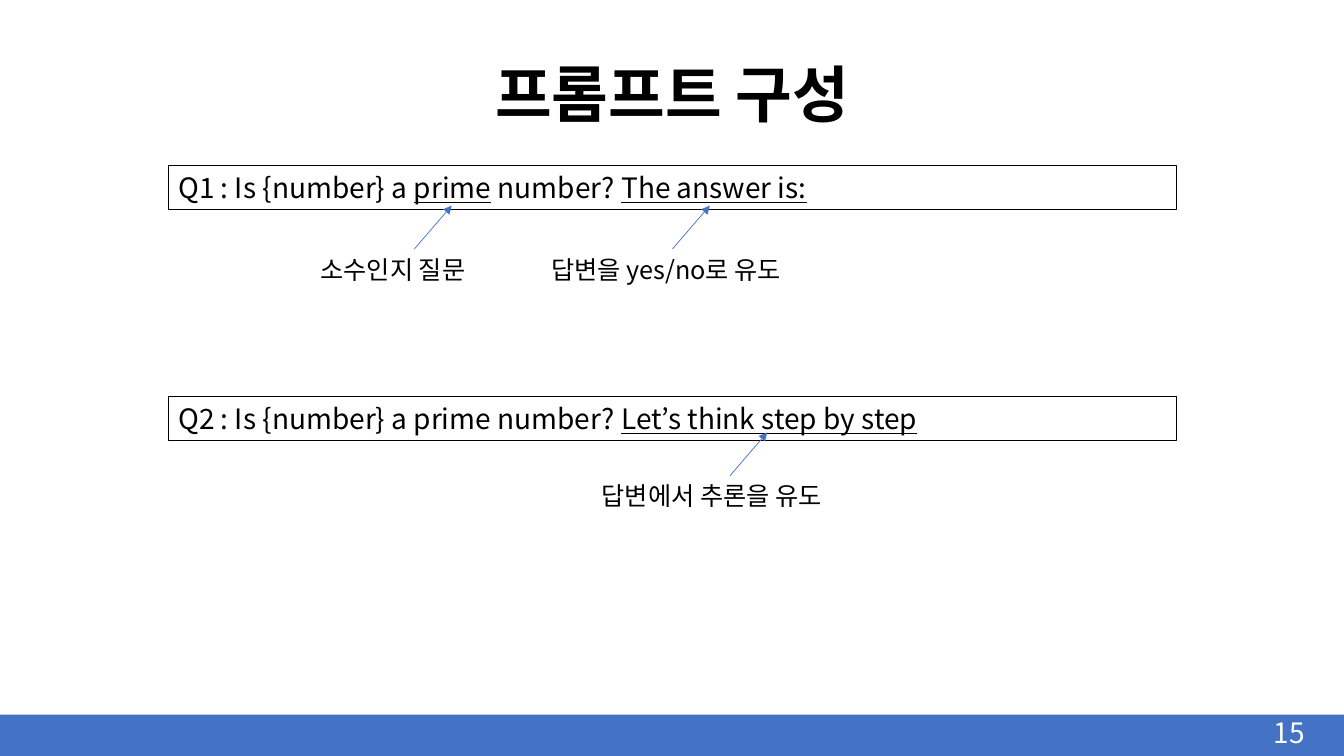
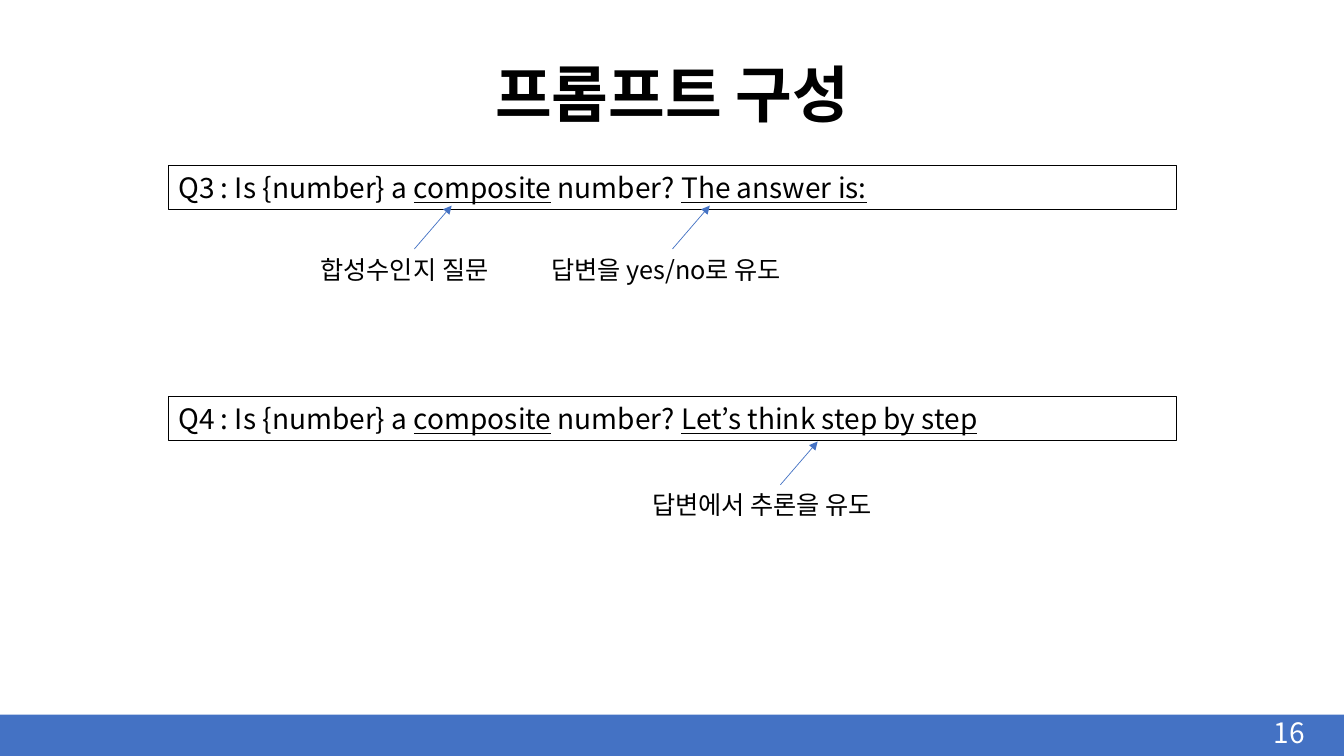
from dataclasses import dataclass
from typing import Optional

import lxml.etree
import pptx
import pptx.dml.color
import pptx.enum.shapes
import pptx.enum.text
import pptx.oxml.ns
import pptx.presentation
import pptx.shapes.base
import pptx.slide
import pptx.text.text
import pptx.util

Inches = pptx.util.Inches
Pt = pptx.util.Pt
RGBColor = pptx.dml.color.RGBColor
Align = pptx.enum.text.PP_ALIGN
Anchor = pptx.enum.text.MSO_ANCHOR
AutoSize = pptx.enum.text.MSO_AUTO_SIZE
ShapeKind = pptx.enum.shapes.MSO_SHAPE
qn = pptx.oxml.ns.qn


# Theme
@dataclass(frozen=True)
class Theme:
    font: str = "Noto Sans CJK KR"
    ink: RGBColor = RGBColor(0x00, 0x00, 0x00)
    accent: RGBColor = RGBColor(0x44, 0x72, 0xC4)
    paper: RGBColor = RGBColor(0xFF, 0xFF, 0xFF)
    title_size: int = 44
    prompt_size: int = 20
    note_size: int = 18
    number_size: int = 20
    box_line: float = 0.75
    arrow_line: float = 0.5


THEME = Theme()
PAGE_WIDTH, PAGE_HEIGHT = 13.33, 7.5
CONTENT_LEFT, CONTENT_WIDTH = 1.67, 10
PROMPT_HEIGHT, NOTE_HEIGHT = 0.44, 0.4
ARROW_RUN, ARROW_RISE = 0.37, 0.43
BAND_TOP = 7.09


# Content
@dataclass(frozen=True)
class Span:
    text: str
    underline: bool = False


@dataclass(frozen=True)
class Note:
    text: str
    left: float
    top: float
    width: float
    arrow_left: Optional[float] = None  # None: arrow leaves the top centre


@dataclass(frozen=True)
class Prompt:
    top: float
    spans: tuple[Span, ...]
    notes: tuple[Note, ...]


@dataclass(frozen=True)
class Page:
    number: int
    title: str
    prompts: tuple[Prompt, ...]


ANSWER = Span("The answer is:", True)
STEPS = Span("Let’s think step by step", True)
COMPOSITE = Span("composite", True)
NUMBER = Span(" number? ")
FIRST_TOP, SECOND_TOP, NOTE_TOP = 1.64, 3.93, 2.47
YES_NO_NOTE = Note("답변을 yes/no로 유도", 5.37, NOTE_TOP, 2.74, 6.67)


def reasoning_note(left: float, top: float) -> Note:
    return Note("답변에서 추론을 유도", left, top, 2.74)


PAGES = (
    Page(15, "프롬프트 구성", (
        Prompt(
            FIRST_TOP,
            (Span("Q1 : Is {number} a "), Span("prime", True), NUMBER, ANSWER),
            (Note("소수인지 질문", 3.08, NOTE_TOP, 1.91, 4.11), YES_NO_NOTE),
        ),
        Prompt(
            SECOND_TOP,
            (Span("Q2 : Is {number} a prime number? "), STEPS),
            (reasoning_note(5.87, 4.72),),
        ),
    )),
    Page(16, "프롬프트 구성", (
        Prompt(
            FIRST_TOP,
            (Span("Q3 : Is {number} a "), COMPOSITE, NUMBER, ANSWER),
            (Note("합성수인지 질문", 3.08, NOTE_TOP, 2.14, 4.11), YES_NO_NOTE),
        ),
        Prompt(
            SECOND_TOP,
            (Span("Q4 : Is {number} a "), COMPOSITE, NUMBER, STEPS),
            (reasoning_note(6.37, 4.81),),
        ),
    )),
)


# Text
def write(frame: pptx.text.text.TextFrame, spans: tuple[Span, ...], size: int,
          color: RGBColor = THEME.ink, align: Align = Align.LEFT,
          anchor: Anchor = Anchor.TOP, bold: bool = False,
          auto_size: AutoSize = AutoSize.NONE) -> pptx.text.text._Paragraph:
    frame.word_wrap = True
    frame.auto_size = auto_size
    frame.vertical_anchor = anchor
    para = frame.paragraphs[0]
    para.alignment = align
    para.font.name = THEME.font
    para.font.size = Pt(size)
    para.font.bold = bold
    para.font.color.rgb = color
    # Hangul takes its typeface from the East Asian font
    defaults = para._p.get_or_add_pPr().find(qn("a:defRPr"))
    lxml.etree.SubElement(defaults, qn("a:ea")).set("typeface", THEME.font)
    for span in spans:
        run = para.add_run()
        run.text = span.text
        if span.underline:
            run.font.underline = True
    return para


# Shared parts
def add_title(slide: pptx.slide.Slide, text: str) -> None:
    title = slide.shapes.title
    title.left, title.top = Inches(CONTENT_LEFT), Inches(0.31)
    title.width, title.height = Inches(CONTENT_WIDTH), Inches(1.04)
    para = write(title.text_frame, (Span(text),), THEME.title_size,
                 align=Align.CENTER, anchor=Anchor.BOTTOM, bold=True)
    para.line_spacing = 0.9


def add_footer(slide: pptx.slide.Slide, number: int) -> None:
    band = slide.shapes.add_shape(
        ShapeKind.RECTANGLE, 0, Inches(BAND_TOP),
        Inches(PAGE_WIDTH), Inches(PAGE_HEIGHT - BAND_TOP))
    band.shadow.inherit = False
    band.fill.solid()
    band.fill.fore_color.rgb = THEME.accent
    band.line.fill.background()
    box = slide.shapes.add_textbox(
        Inches(12.36), Inches(BAND_TOP), Inches(0.68), Inches(0.35))
    write(box.text_frame, (Span(str(number)),), THEME.number_size,
          color=THEME.paper, align=Align.RIGHT, anchor=Anchor.MIDDLE)


# Prompts and their notes
def add_prompt(slide: pptx.slide.Slide, prompt: Prompt) -> None:
    box = slide.shapes.add_shape(
        ShapeKind.RECTANGLE, Inches(CONTENT_LEFT), Inches(prompt.top),
        Inches(CONTENT_WIDTH), Inches(PROMPT_HEIGHT))
    box.shadow.inherit = False
    box.fill.background()
    box.line.color.rgb = THEME.ink
    box.line.width = Pt(THEME.box_line)
    write(box.text_frame, prompt.spans, THEME.prompt_size,
          auto_size=AutoSize.SHAPE_TO_FIT_TEXT)
    for note in prompt.notes:
        add_note(slide, note)


def add_note(slide: pptx.slide.Slide, note: Note) -> None:
    box = slide.shapes.add_textbox(
        Inches(note.left), Inches(note.top),
        Inches(note.width), Inches(NOTE_HEIGHT))
    write(box.text_frame, (Span(note.text),), THEME.note_size,
          auto_size=AutoSize.SHAPE_TO_FIT_TEXT)
    add_arrow(slide, note, box)


def add_arrow(slide: pptx.slide.Slide, note: Note,
              box: pptx.shapes.base.BaseShape) -> None:
    centred = note.arrow_left is None
    start = note.left + note.width / 2 if centred else note.arrow_left
    arrow = slide.shapes.add_connector(
        pptx.enum.shapes.MSO_CONNECTOR.STRAIGHT,
        Inches(start), Inches(note.top),
        Inches(start + ARROW_RUN), Inches(note.top - ARROW_RISE))
    if centred:
        arrow.begin_connect(box, 0)
    arrow.line.color.rgb = THEME.accent
    arrow.line.width = Pt(THEME.arrow_line)
    line = arrow.line._get_or_add_ln()
    lxml.etree.SubElement(line, qn("a:tailEnd")).set("type", "triangle")
    lxml.etree.SubElement(arrow._element.spPr, qn("a:effectLst"))


# Deck
def add_page(deck: pptx.presentation.Presentation, page: Page) -> None:
    title_only = deck.slide_layouts[5]
    slide = deck.slides.add_slide(title_only)
    add_title(slide, page.title)
    for prompt in page.prompts:
        add_prompt(slide, prompt)
    add_footer(slide, page.number)


def main() -> None:
    deck = pptx.Presentation()
    deck.slide_width = Inches(PAGE_WIDTH)
    deck.slide_height = Inches(PAGE_HEIGHT)
    for page in PAGES:
        add_page(deck, page)
    deck.save("out.pptx")


if __name__ == "__main__":
    main()
